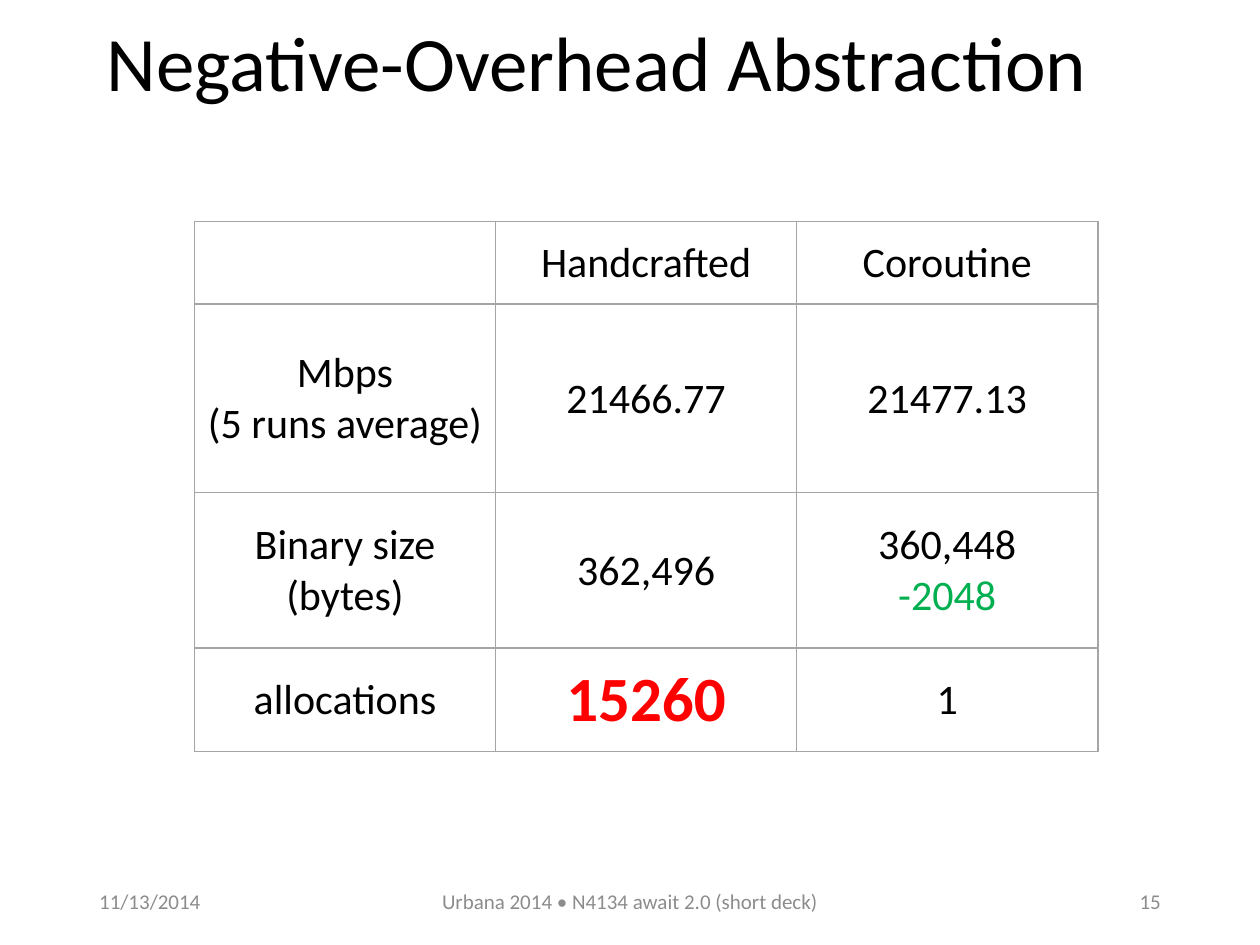
import dataclasses

import lxml.etree
import pptx
import pptx.dml.color
import pptx.enum.text
import pptx.oxml.ns
import pptx.util

Cm = pptx.util.Cm
Pt = pptx.util.Pt
Align = pptx.enum.text.PP_ALIGN
Middle = pptx.enum.text.MSO_ANCHOR.MIDDLE


@dataclasses.dataclass(frozen=True)
class Theme:
    font: str = "Calibri"
    ink: str = "000000"
    gray: str = "8C8C8C"
    rule: str = "A5A5A5"
    good: str = "00B050"
    bad: str = "FF0000"
    title: int = 44
    body: int = 24
    large: int = 36
    small: int = 12


THEME = Theme()


@dataclasses.dataclass(frozen=True)
class Style:
    size: int = THEME.body
    color: str = THEME.ink
    bold: bool = False
    align: Align = Align.CENTER


@dataclasses.dataclass(frozen=True)
class Label:
    text: str
    left: float
    top: float
    width: float
    height: float
    style: Style
    space: float = 1.0


def format_line(line, style: Style) -> None:
    line.alignment = style.align
    for run in line.runs:
        run.font.name = THEME.font
        run.font.size = Pt(style.size)
        run.font.bold = style.bold
        run.font.color.rgb = pptx.dml.color.RGBColor.from_string(style.color)


def add_label(slide, label: Label) -> None:
    box = slide.shapes.add_textbox(
        Cm(label.left), Cm(label.top), Cm(label.width), Cm(label.height))
    frame = box.text_frame
    frame.word_wrap = True
    frame.vertical_anchor = Middle
    frame.text = label.text
    frame.paragraphs[0].line_spacing = label.space
    format_line(frame.paragraphs[0], label.style)


def add_rules(cell) -> None:
    props = cell._tc.get_or_add_tcPr()
    name = pptx.oxml.ns.qn
    for spot, side in enumerate(("a:lnL", "a:lnR", "a:lnT", "a:lnB")):
        edge = lxml.etree.Element(name(side), w=str(Pt(1)))
        fill = lxml.etree.SubElement(edge, name("a:solidFill"))
        lxml.etree.SubElement(fill, name("a:srgbClr"), val=THEME.rule)
        props.insert(spot, edge)


def fill_cell(cell, text: str, styles: dict[str, Style]) -> None:
    cell.fill.background()
    cell.vertical_anchor = Middle
    cell.margin_left = cell.margin_right = cell.margin_top = Cm(0.03)
    cell.margin_bottom = 0
    cell.text_frame.text = text
    for line in cell.text_frame.paragraphs:
        format_line(line, styles.get(line.text, Style()))
    add_rules(cell)


# Title and footer
FOOT_TOP, FOOT_HIGH = 17.65, 1.02
LABELS = (
    Label("Negative-Overhead Abstraction", 1.9, 0.2, 21.9, 2.29,
          Style(THEME.title, align=Align.LEFT), 0.9),
    Label("11/13/2014", 1.75, FOOT_TOP, 5.72, FOOT_HIGH,
          Style(THEME.small, THEME.gray, align=Align.LEFT)),
    Label("Urbana 2014 • N4134 await 2.0 (short deck)",
          8.41, FOOT_TOP, 8.58, FOOT_HIGH, Style(THEME.small, THEME.gray)),
    Label("15", 17.93, FOOT_TOP, 5.72, FOOT_HIGH,
          Style(THEME.small, THEME.gray, align=Align.RIGHT)),
)

# Results table
ROWS = (
    ("", "Handcrafted", "Coroutine"),
    ("Mbps\n(5 runs average)", "21466.77", "21477.13"),
    ("Binary size\n(bytes)", "362,496", "360,448\n-2048"),
    ("allocations", "15260", "1"),
)
HEIGHTS = (1.66, 3.8, 3.13, 2.09)
WIDTH = 6.07
ACCENTS = {
    "-2048": Style(color=THEME.good),
    "15260": Style(THEME.large, THEME.bad, True),
}


def add_results(slide) -> None:
    count = len(ROWS[0])
    table = slide.shapes.add_table(
        len(ROWS), count, Cm(3.92), Cm(4.47),
        Cm(WIDTH * count), Cm(sum(HEIGHTS))).table
    table.first_row = table.horz_banding = False
    for column in table.columns:
        column.width = Cm(WIDTH)
    for row, high, texts in zip(table.rows, HEIGHTS, ROWS):
        row.height = Cm(high)
        for cell, text in zip(row.cells, texts):
            fill_cell(cell, text, ACCENTS)


def main() -> None:
    deck = pptx.Presentation()
    deck.slide_width, deck.slide_height = Cm(25.4), Cm(19.05)
    slide = deck.slides.add_slide(deck.slide_layouts[6])
    for label in LABELS:
        add_label(slide, label)
    add_results(slide)
    deck.save("out.pptx")


if __name__ == "__main__":
    main()
